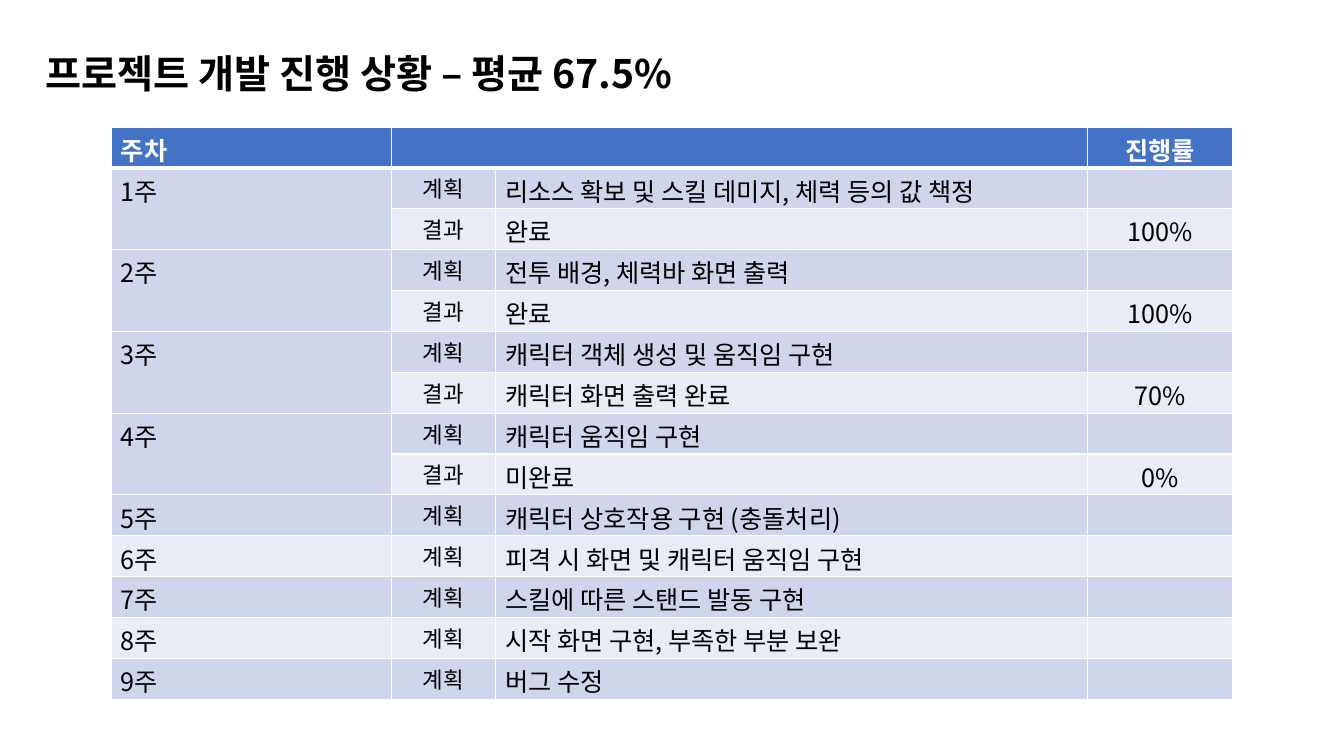
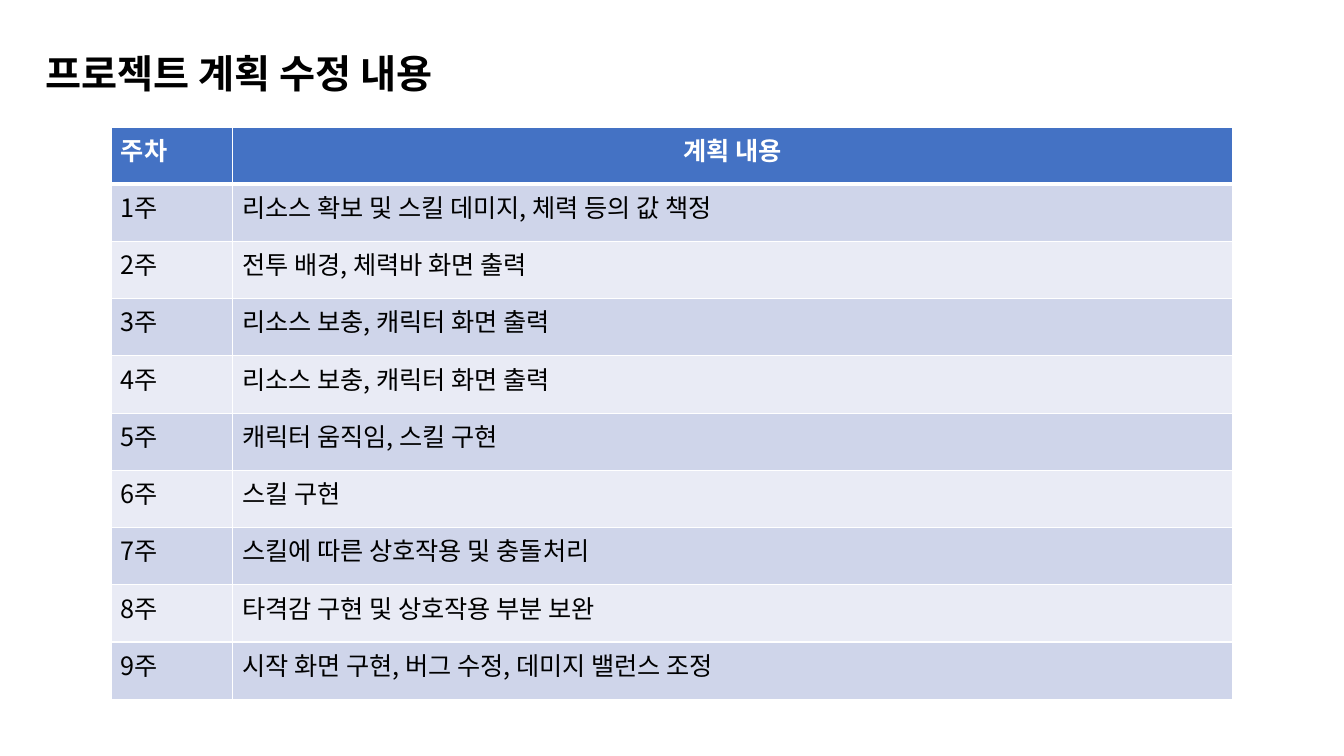
from dataclasses import dataclass
from typing import Optional

from lxml.etree import SubElement
from pptx import Presentation
from pptx.dml.color import RGBColor
from pptx.enum.text import MSO_ANCHOR, MSO_AUTO_SIZE, PP_ALIGN
from pptx.oxml.ns import qn
from pptx.util import Inches, Pt


@dataclass(frozen=True)
class Theme:
    font: str = "Noto Sans CJK KR"
    text: str = "000000"
    background: str = "FFFFFF"
    header: str = "4472C4"
    bands: tuple[str, str] = ("CFD5EA", "E9EBF5")
    title_size: int = 28
    body_size: int = 18
    label_size: int = 16
    border: int = 1
    header_border: int = 3


@dataclass(frozen=True)
class Box:
    left: float
    top: float
    width: float
    height: float


@dataclass(frozen=True)
class Column:
    share: float
    size: int
    alignment: Optional[PP_ALIGN] = None
    header_alignment: Optional[PP_ALIGN] = None


@dataclass(frozen=True)
class Week:
    plan: str
    result: str = ""
    rate: str = ""


THEME = Theme()
SLIDE_WIDTH, SLIDE_HEIGHT = 13.33, 7.5
TITLE_BOX = Box(0.35, 0.44, 7.16, 0.57)
TABLE_BOX = Box(1.1, 1.26, 11.13, 5.68)
CELL_TOP_MARGIN = 0.04

PROGRESS_COLUMNS = [
    Column(0.25, THEME.body_size),
    Column(0.0925, THEME.label_size, PP_ALIGN.CENTER),
    Column(0.5275, THEME.body_size),
    Column(0.13, THEME.body_size, PP_ALIGN.CENTER, PP_ALIGN.CENTER),
]
REVISION_COLUMNS = [
    Column(0.108, THEME.body_size),
    Column(0.892, THEME.body_size, header_alignment=PP_ALIGN.CENTER),
]
PROGRESS = [
    Week("리소스 확보 및 스킬 데미지, 체력 등의 값 책정", "완료", "100%"),
    Week("전투 배경, 체력바 화면 출력", "완료", "100%"),
    Week("캐릭터 객체 생성 및 움직임 구현", "캐릭터 화면 출력 완료", "70%"),
    Week("캐릭터 움직임 구현", "미완료", "0%"),
    Week("캐릭터 상호작용 구현 (충돌처리)"),
    Week("피격 시 화면 및 캐릭터 움직임 구현"),
    Week("스킬에 따른 스탠드 발동 구현"),
    Week("시작 화면 구현, 부족한 부분 보완"),
    Week("버그 수정"),
]
REVISIONS = [
    "리소스 확보 및 스킬 데미지, 체력 등의 값 책정",
    "전투 배경, 체력바 화면 출력",
    "리소스 보충, 캐릭터 화면 출력",
    "리소스 보충, 캐릭터 화면 출력",
    "캐릭터 움직임, 스킬 구현",
    "스킬 구현",
    "스킬에 따른 상호작용 및 충돌처리",
    "타격감 구현 및 상호작용 부분 보완",
    "시작 화면 구현, 버그 수정, 데미지 밸런스 조정",
]


def add_run(paragraph, text: str, size: int, color: str, bold: bool) -> None:
    run = paragraph.add_run()
    run.text = text
    run.font.size = Pt(size)
    run.font.bold = bold
    run.font.name = THEME.font
    run.font.color.rgb = RGBColor.from_string(color)
    SubElement(run.font._element, qn("a:ea")).set("typeface", THEME.font)


def place(shape, box: Box) -> None:
    shape.left, shape.top = Inches(box.left), Inches(box.top)
    shape.width, shape.height = Inches(box.width), Inches(box.height)


def add_titled_slide(presentation, title: str):
    slide = presentation.slides.add_slide(presentation.slide_layouts[5])
    place(slide.shapes.title, TITLE_BOX)
    frame = slide.shapes.title.text_frame
    frame.vertical_anchor = MSO_ANCHOR.TOP
    frame.auto_size = MSO_AUTO_SIZE.SHAPE_TO_FIT_TEXT
    frame.word_wrap = True
    paragraph = frame.paragraphs[0]
    paragraph.alignment = PP_ALIGN.LEFT
    add_run(paragraph, title, THEME.title_size, THEME.text, True)
    return slide


def add_borders(cell, widths: dict[str, int]) -> None:
    """Draw cell edges, keyed by a:lnL, a:lnR, a:lnT and a:lnB in that order."""
    properties = cell._tc.get_or_add_tcPr()
    for edge, width in widths.items():
        line = SubElement(properties, qn(edge), w=str(Pt(width)))
        fill = SubElement(line, qn("a:solidFill"))
        SubElement(fill, qn("a:srgbClr"), val=THEME.background)


def format_cell(cell, text: str, column: Column, row: int) -> None:
    is_header = row == 0
    top = THEME.header_border if row == 1 else THEME.border
    bottom = THEME.header_border if is_header else THEME.border
    add_borders(cell, {"a:lnL": THEME.border, "a:lnR": THEME.border,
                       "a:lnT": top, "a:lnB": bottom})
    cell.margin_top, cell.margin_bottom = Inches(CELL_TOP_MARGIN), 0
    cell.fill.solid()
    cell.fill.fore_color.rgb = RGBColor.from_string(
        THEME.header if is_header else THEME.bands[(row - 1) % 2])
    if text:
        paragraph = cell.text_frame.paragraphs[0]
        paragraph.alignment = column.header_alignment if is_header else column.alignment
        add_run(paragraph, text, THEME.body_size if is_header else column.size,
                THEME.background if is_header else THEME.text, is_header)


def add_schedule(slide, columns: list[Column], rows: list[tuple[str, ...]]):
    frame = slide.shapes.add_table(
        len(rows), len(columns), Inches(TABLE_BOX.left), Inches(TABLE_BOX.top),
        Inches(TABLE_BOX.width), Inches(TABLE_BOX.height))
    table = frame.table
    for table_column, column in zip(table.columns, columns):
        table_column.width = Inches(TABLE_BOX.width * column.share)
    for row, texts in enumerate(rows):
        table.rows[row].height = Inches(TABLE_BOX.height / len(rows))
        for index, (text, column) in enumerate(zip(texts, columns)):
            format_cell(table.cell(row, index), text, column, row)
    return table


def add_progress_slide(presentation) -> None:
    slide = add_titled_slide(presentation, "프로젝트 개발 진행 상황 – 평균 67.5%")
    rows = [("주차", "", "", "진행률")]
    week_starts = []
    for number, week in enumerate(PROGRESS, start=1):
        if week.result:
            week_starts.append(len(rows))
        rows.append((f"{number}주", "계획", week.plan, ""))
        if week.result:
            rows.append(("", "결과", week.result, week.rate))
    table = add_schedule(slide, PROGRESS_COLUMNS, rows)
    table.cell(0, 1).merge(table.cell(0, 2))
    for start in week_starts:
        table.cell(start, 0).merge(table.cell(start + 1, 0))


def add_revision_slide(presentation) -> None:
    slide = add_titled_slide(presentation, "프로젝트 계획 수정 내용")
    rows = [("주차", "계획 내용")]
    rows += [(f"{number}주", plan) for number, plan in enumerate(REVISIONS, start=1)]
    add_schedule(slide, REVISION_COLUMNS, rows)


def main() -> None:
    presentation = Presentation()
    presentation.slide_width = Inches(SLIDE_WIDTH)
    presentation.slide_height = Inches(SLIDE_HEIGHT)
    background = presentation.slide_master.background.fill
    background.solid()
    background.fore_color.rgb = RGBColor.from_string(THEME.background)
    add_progress_slide(presentation)
    add_revision_slide(presentation)
    presentation.save("out.pptx")


if __name__ == "__main__":
    main()
